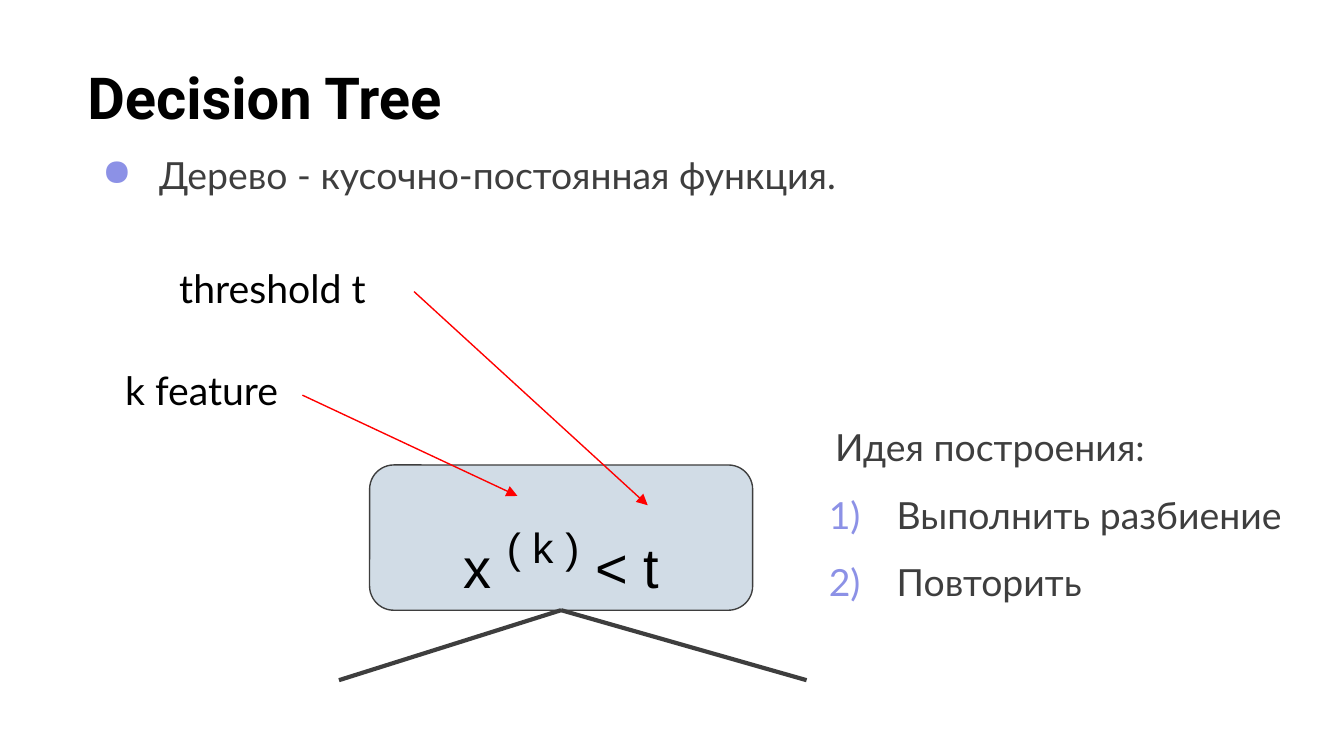
from lxml import etree
from pptx import Presentation
from pptx.dml.color import RGBColor
from pptx.enum.shapes import MSO_CONNECTOR, MSO_SHAPE
from pptx.enum.text import MSO_ANCHOR, PP_ALIGN
from pptx.oxml.ns import qn
from pptx.util import Pt

BLACK = RGBColor(0x00, 0x00, 0x00)
GRAY = RGBColor(0x3E, 0x3E, 0x3E)
LILAC = RGBColor(0x8C, 0x91, 0xE6)
PALE_BLUE = RGBColor(0xD1, 0xDC, 0xE6)
RED = RGBColor(0xFF, 0x00, 0x00)
STRAIGHT = MSO_CONNECTOR.STRAIGHT
ROUNDED = MSO_SHAPE.ROUNDED_RECTANGLE
TOP, BOTTOM = MSO_ANCHOR.TOP, MSO_ANCHOR.BOTTOM
LEFT, CENTER, RIGHT = PP_ALIGN.LEFT, PP_ALIGN.CENTER, PP_ALIGN.RIGHT
BOTTOM_SIDE = 2


def set_margins(frame, margin):
    frame.margin_left = frame.margin_right = Pt(margin)
    frame.margin_top = frame.margin_bottom = Pt(margin)


def format_span(span, size, color, font="Lato", bold=False):
    span.font.size = Pt(size)
    span.font.name = font
    span.font.bold = bold
    span.font.color.rgb = color


def add_text(page, left, top, width, height, lines, size=20, color=GRAY, align=LEFT):
    box = page.shapes.add_textbox(Pt(left), Pt(top), Pt(width), Pt(height))
    frame = box.text_frame
    frame.word_wrap = True
    set_margins(frame, 0)
    frame.text = "\n".join(lines)
    for para in frame.paragraphs:
        para.alignment = align
        format_span(para.runs[0], size, color)
    return frame


def add_bullet(para, indent, tag, **settings):
    properties = para._p.get_or_add_pPr()
    properties.set("marL", str(Pt(indent)))
    properties.set("indent", str(Pt(-indent)))
    bullet_color = etree.SubElement(properties, qn("a:buClr"))
    etree.SubElement(bullet_color, qn("a:srgbClr"), val=str(LILAC))
    etree.SubElement(properties, qn(tag), **settings)


def add_line(page, start, end, color, width, arrow=False):
    line = page.shapes.add_connector(STRAIGHT, *map(Pt, start + end))
    line.line.color.rgb = color
    line.line.width = Pt(width)
    if arrow:
        etree.SubElement(line.line._get_or_add_ln(), qn("a:tailEnd"), type="triangle")
    etree.SubElement(line._element.spPr, qn("a:effectLst"))
    return line


def add_title(page, left, top, width, height):
    title = page.shapes.title
    title.left, title.top, title.width, title.height = map(Pt, (left, top, width, height))
    frame = title.text_frame
    set_margins(frame, 7.2)
    frame.vertical_anchor = TOP
    frame.text = "Decision Tree"
    frame.paragraphs[0].alignment = LEFT
    format_span(frame.paragraphs[0].runs[0], 31, BLACK, "Roboto", True)


def add_statement(page, left, top, width, height):
    frame = add_text(page, left, top, width, height,
                     ["Дерево - кусочно-постоянная функция."])
    add_bullet(frame.paragraphs[0], 30.6, "a:buChar", char="●")


def add_node(page, left, top, width, height):
    node = page.shapes.add_shape(ROUNDED, Pt(left), Pt(top), Pt(width), Pt(height))
    node.shadow.inherit = False
    node.fill.solid()
    node.fill.fore_color.rgb = PALE_BLUE
    node.line.color.rgb = GRAY
    node.line.width = Pt(0.75)
    frame = node.text_frame
    set_margins(frame, 0)
    frame.vertical_anchor = BOTTOM
    para = frame.paragraphs[0]
    para.alignment = CENTER
    for text, size, baseline in (("x ", 30, 0), ("( k )", 39, 34000), (" < t", 30, 0)):
        span = para.add_run()
        span.text = text
        format_span(span, size, BLACK, "Arial")
        if baseline:
            span._r.get_or_add_rPr().set("baseline", str(baseline))

    root = (left + width / 2, top + height)
    for reach in (-119, 131.5):
        branch = add_line(page, root, (root[0] + reach, root[1] + 37.5), GRAY, 2.25)
        branch.begin_connect(node, BOTTOM_SIDE)


def add_callouts(page, left, top):
    callouts = (
        ("threshold t", (29, 0), (154.8, 14.7), (280, 129.2)),
        ("k feature", (0, 55), (95, 70.2), (210.2, 124.2)),
    )
    for text, (x, y), start, end in callouts:
        add_text(page, left + x, top + y, 110, 25.2, [text], 21, BLACK)
        add_line(page, (left + start[0], top + start[1]),
                 (left + end[0], top + end[1]), RED, 0.75, True)


def add_idea(page, left, top, width, height):
    add_text(page, left, top, 169.4, 24, ["Идея построения:"], align=RIGHT)
    frame = add_text(page, left, top + 36.5, width, height - 36.5,
                     ["Выполнить разбиение", "Повторить"])
    frame.paragraphs[1].space_before = Pt(12)
    for para in frame.paragraphs:
        add_bullet(para, 36.4, "a:buAutoNum", type="arabicParenR")


def main():
    deck = Presentation()
    deck.slide_width, deck.slide_height = Pt(720), Pt(405)
    page = deck.slides.add_slide(deck.slide_layouts[5])
    add_title(page, 39.6, 25.9, 671, 86.4)
    add_statement(page, 54.7, 81.4, 558.7, 24)
    add_node(page, 198, 249.1, 205.2, 77.8)
    add_callouts(page, 67, 141.5)
    add_idea(page, 444, 227.2, 248, 96.8)
    deck.save("out.pptx")


if __name__ == "__main__":
    main()
